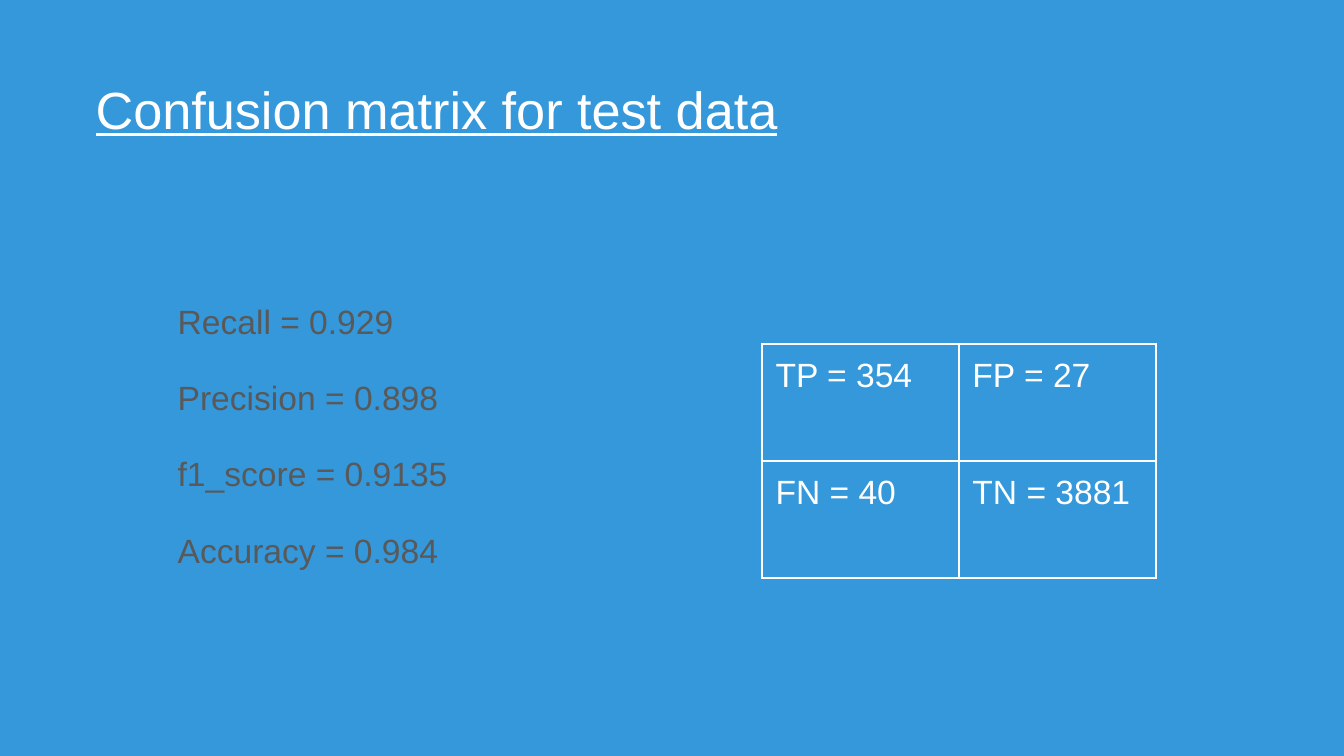
import pptx
import pptx.dml.color
import pptx.enum.text
import pptx.oxml.ns
import pptx.util
from lxml import etree

Pt = pptx.util.Pt
COLORS = {"background": "3498DB", "light": "FFFFFF", "metric": "595959"}
FONT = "Arial"
INSET = 7.2
METRICS = ["Recall = 0.929", "Precision = 0.898", "f1_score = 0.9135", "Accuracy = 0.984"]
MATRIX = [["TP = 354", "FP = 27"], ["FN = 40", "TN = 3881"]]


def color(name):
    return pptx.dml.color.RGBColor.from_string(COLORS[name])


def style(para, size, name):
    para.font.name = FONT
    para.font.size = Pt(size)
    para.font.color.rgb = color(name)


def set_insets(holder, top=INSET):
    holder.margin_left = holder.margin_right = holder.margin_bottom = Pt(INSET)
    holder.margin_top = Pt(top)


def place(shape, box, top_inset=INSET):
    """Move a placeholder to the box and return its text frame."""
    shape.left, shape.top, shape.width, shape.height = (Pt(n) for n in box)
    frame = shape.text_frame
    frame.word_wrap = True
    frame.auto_size = pptx.enum.text.MSO_AUTO_SIZE.NONE
    frame.vertical_anchor = pptx.enum.text.MSO_ANCHOR.TOP
    set_insets(frame, top_inset)
    return frame


def add_title(page, box):
    frame = place(page.shapes.title, box)
    frame.text = "Confusion matrix for test data"
    para = frame.paragraphs[0]
    para.alignment = pptx.enum.text.PP_ALIGN.LEFT
    style(para, 28, "light")
    para.font.underline = True


def add_metrics(page, box):
    # The list starts one line below the top of its box
    frame = place(page.placeholders[1], box, top_inset=48)
    frame.text = "\n".join(METRICS)
    for para in frame.paragraphs:
        para.line_spacing = 1.15
        para.space_before = Pt(0)
        para.space_after = Pt(16)
        style(para, 18, "metric")
        # No bullet and no indent
        props = para._p.get_or_add_pPr()
        props.set("marL", "0")
        props.set("indent", "0")
        bullet = etree.Element(pptx.oxml.ns.qn("a:buNone"))
        props.insert_element_before(bullet, "a:tabLst", "a:defRPr", "a:extLst")


def add_borders(cell, width, name):
    props = cell._tc.get_or_add_tcPr()
    for index, side in enumerate(["lnL", "lnR", "lnT", "lnB"]):
        line = etree.Element(pptx.oxml.ns.qn(f"a:{side}"), w=str(Pt(width)))
        fill = etree.SubElement(line, pptx.oxml.ns.qn("a:solidFill"))
        etree.SubElement(fill, pptx.oxml.ns.qn("a:srgbClr"), val=COLORS[name])
        props.insert(index, line)


def add_matrix(page, box):
    left, top, width, height = (Pt(n) for n in box)
    table = page.shapes.add_table(len(MATRIX), len(MATRIX[0]), left, top, width, height).table
    table.first_row = False
    table.horz_banding = False
    for row, texts in enumerate(MATRIX):
        for column, text in enumerate(texts):
            cell = table.cell(row, column)
            cell.text = text
            set_insets(cell)
            cell.fill.background()
            style(cell.text_frame.paragraphs[0], 18, "light")
            add_borders(cell, 1.5, "light")


def main():
    deck = pptx.Presentation()
    deck.slide_width, deck.slide_height = Pt(720), Pt(405)
    page = deck.slides.add_slide(deck.slide_layouts[1])
    page.background.fill.solid()
    page.background.fill.fore_color.rgb = color("background")

    add_title(page, (44, 34, 408, 90))
    add_metrics(page, (88, 110, 300, 235.5))
    add_matrix(page, (408.3, 184.2, 211, 125.4))
    deck.save("out.pptx")


if __name__ == "__main__":
    main()
